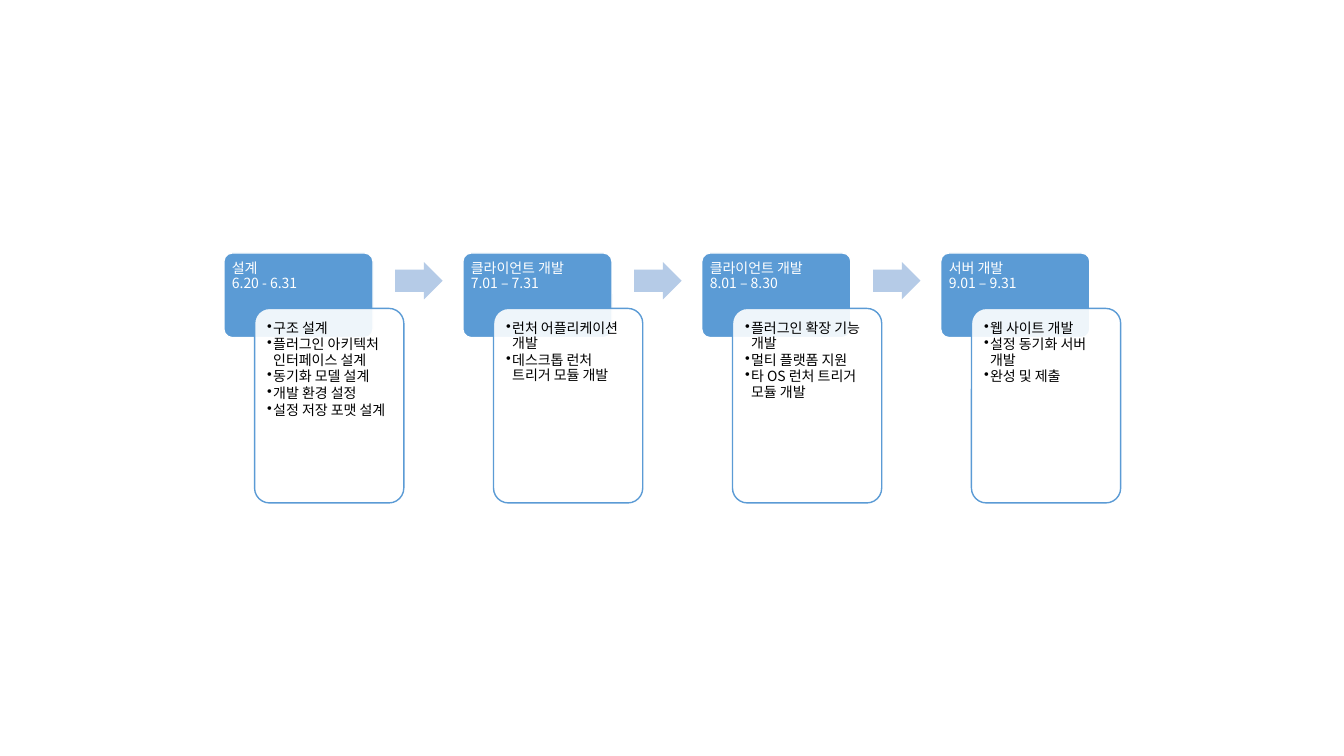
from lxml import etree
from pptx import Presentation, util as u
from pptx.dml.color import RGBColor
from pptx.enum import shapes, text
from pptx.oxml.ns import qn

# Content: heading, dates, tasks
STEPS = [
    ("설계", "6.20 - 6.31",
     ["구조 설계", "플러그인 아키텍처 인터페이스 설계", "동기화 모델 설계",
      "개발 환경 설정", "설정 저장 포맷 설계"]),
    ("클라이언트 개발", "7.01 – 7.31",
     ["런처 어플리케이션\n개발", "데스크톱 런처 트리거 모듈 개발"]),
    ("클라이언트 개발", "8.01 – 8.30",
     ["플러그인 확장 기능 개발", "멀티 플랫폼 지원", "타 OS 런처 트리거 모듈 개발"]),
    ("서버 개발", "9.01 – 9.31",
     ["웹 사이트 개발", "설정 동기화 서버 개발", "완성 및 제출"]),
]
FONT, SIZE = "Noto Sans CJK KR", 10
BLUE, PALE, WHITE, BLACK = "5B9BD5", "B5CBE7", "FFFFFF", "000000"

# Grid in inches
LEFT, TOP, PITCH = 2.22, 2.51, 2.37
WIDE, HEAD, CARD = 1.48, 0.84, 1.93
SHIFT, DROP, EDGE = 0.305, 0.55, 0.045
PAD = 0.08

deck = Presentation()
deck.slide_width, deck.slide_height = u.Inches(13.33), u.Inches(7.5)
slide = deck.slides.add_slide(deck.slide_layouts[6])
KIND = shapes.MSO_SHAPE


def paint(form, color):
    form.solid()
    form.fore_color.rgb = RGBColor.from_string(color)


def block(kind, box, adjs, fill, line=None):
    part = slide.shapes.add_shape(kind, *map(u.Inches, box))
    part.shadow.inherit = False
    for i, adj in enumerate(adjs):
        part.adjustments[i] = adj
    paint(part.fill, fill)
    if line:
        paint(part.line.fill, line)
        part.line.width = u.Pt(1)
    else:
        part.line.fill.background()
    return part


def fade(part, share):
    color = part.fill._xPr.find(qn("a:solidFill"))[0]
    etree.SubElement(color, qn("a:alpha"), val=str(share * 1000))


def write(box, lines, color, foot, after, dots=False):
    frame = slide.shapes.add_textbox(*map(u.Inches, box)).text_frame
    frame.word_wrap = True
    frame.vertical_anchor = text.MSO_ANCHOR.TOP
    frame.margin_left = frame.margin_right = frame.margin_top = u.Inches(PAD)
    frame.margin_bottom = u.Inches(foot)
    for i, line in enumerate(lines):
        para = frame.add_paragraph() if i else frame.paragraphs[0]
        para.line_spacing, para.space_after = 0.9, u.Pt(after)
        if dots:
            para.level = 1
            prop = para._p.get_or_add_pPr()
            prop.set("marL", str(u.Inches(0.06)))
            prop.set("indent", str(-u.Inches(0.06)))
            etree.SubElement(prop, qn("a:buChar"), char="•")
        for j, piece in enumerate(line.split("\n")):
            if j:
                para.add_line_break()
            run = para.add_run()
            run.text = piece
            run.font.size, run.font.name = u.Pt(SIZE), FONT
            paint(run.font.fill, color)
            etree.SubElement(run._r.get_or_add_rPr(), qn("a:ea"), typeface=FONT)


for i, (name, dates, tasks) in enumerate(STEPS):
    x = LEFT + i * PITCH
    # Heading
    block(KIND.ROUNDED_RECTANGLE, (x, TOP, WIDE, HEAD), [0.1], BLUE, WHITE)
    write((x, TOP, WIDE, 0.56), [name + "\n" + dates], WHITE, PAD / 2, 3.5)
    # Task card
    left, top = x + SHIFT, TOP + DROP
    card = block(KIND.ROUNDED_RECTANGLE, (left, top, WIDE, CARD), [0.1], WHITE, BLUE)
    fade(card, 90)
    write((left + EDGE, top + EDGE, WIDE - 2 * EDGE, CARD - 2 * EDGE),
          tasks, BLACK, PAD, 1.2, dots=True)
    # Arrow to the next step
    if i < len(STEPS) - 1:
        block(KIND.RIGHT_ARROW, (x + 1.7, TOP + 0.09, 0.47, 0.37), [0.6, 0.5], PALE)

deck.save("out.pptx")
